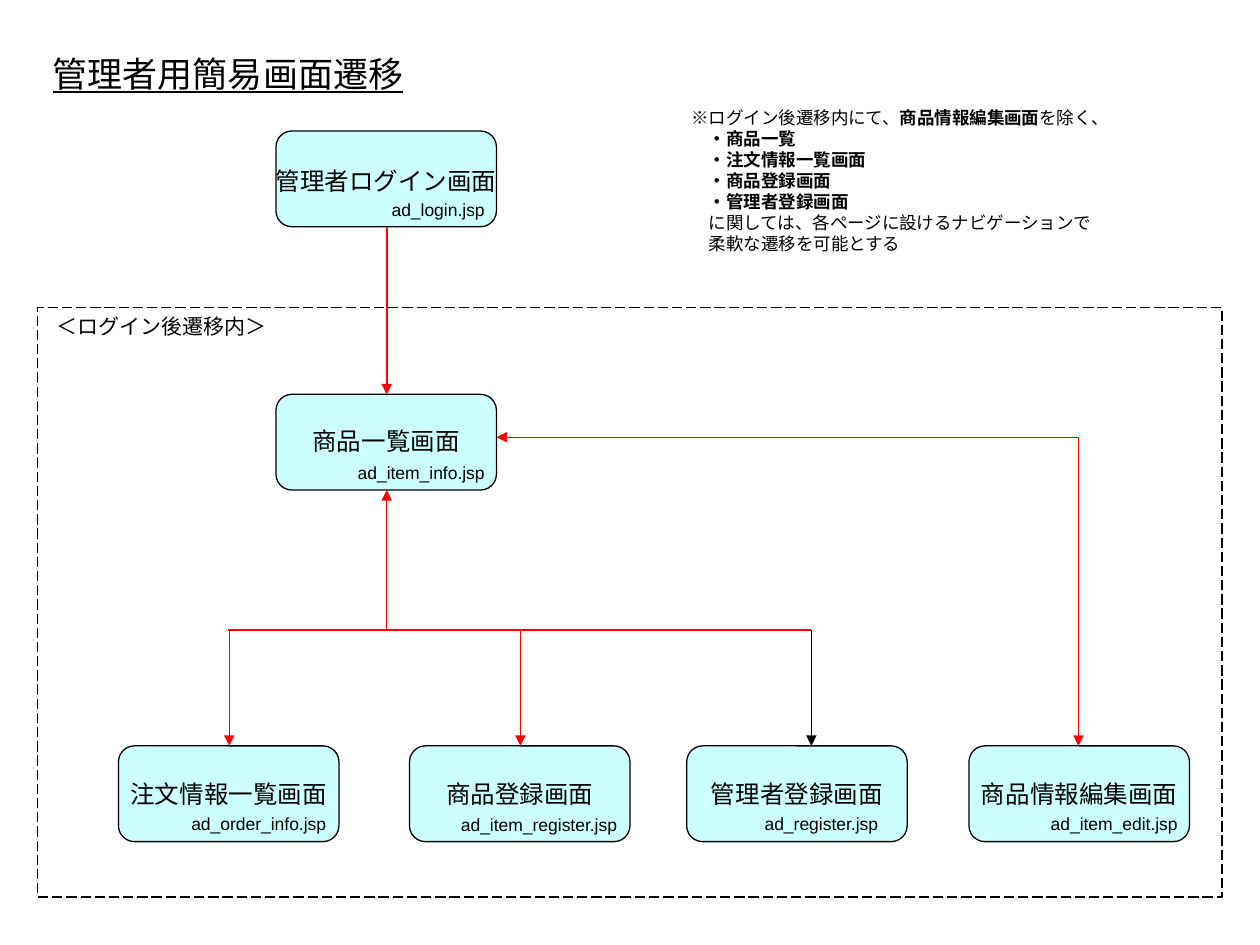
from typing import NamedTuple

from lxml import etree
from pptx import Presentation
from pptx import util as u
from pptx.dml.color import RGBColor
from pptx.enum import dml, shapes, text
from pptx.oxml import ns

BLACK, RED, CYAN, WHITE = "000000", "FF0000", "CCFFFF", "FFFFFF"
FONT = "Arial"
SCREEN_W, SCREEN_H = 1.75, 0.76
LIST_Y, BRANCH_Y, LOWER_Y, EDIT_Y = 3.13, 5.0, 5.92, 3.47
MAIN_X, EDIT_X = 3.07, 8.56
LEFT, CENTER = text.PP_ALIGN.LEFT, text.PP_ALIGN.CENTER


class Screen(NamedTuple):
    title: str
    file: str
    left: float
    top: float
    file_width: float
    title_drop: float = 0.21
    file_drop: float = 0.48
    file_inset: float = 0.0


class Link(NamedTuple):
    x1: float
    y1: float
    x2: float
    y2: float
    color: str = RED
    width: float = 0.74
    arrow: bool = True


SCREENS = [
    Screen("管理者ログイン画面", "ad_login.jsp", 2.19, 1.04, 0.94, 0.23, 0.49, -0.01),
    Screen("商品一覧画面", "ad_item_info.jsp", 2.19, LIST_Y, 1.21, 0.2, 0.49, -0.01),
    Screen("注文情報一覧画面", "ad_order_info.jsp", 0.94, LOWER_Y, 1.27),
    Screen("商品登録画面", "ad_item_register.jsp", 3.25, LOWER_Y, 1.44, file_drop=0.49),
    Screen("管理者登録画面", "ad_register.jsp", 5.45, LOWER_Y, 1.11, file_inset=0.12),
    Screen("商品情報編集画面", "ad_item_edit.jsp", 7.69, LOWER_Y, 1.21, file_inset=-0.01),
]

LINKS = [
    Link(MAIN_X, 1.8, MAIN_X, LIST_Y, width=0.99),
    Link(1.81, BRANCH_Y, 6.44, BRANCH_Y, arrow=False),
    Link(1.82, BRANCH_Y, 1.82, LOWER_Y),
    Link(4.13, BRANCH_Y, 4.13, LOWER_Y),
    Link(6.44, BRANCH_Y, 6.44, LOWER_Y, BLACK),
    Link(EDIT_X, EDIT_Y, EDIT_X, LOWER_Y),
    Link(EDIT_X, EDIT_Y, 3.94, EDIT_Y),
    Link(MAIN_X, BRANCH_Y, MAIN_X, LIST_Y + SCREEN_H),
]

NOTE = [
    [("※ログイン後遷移内にて、", False), ("商品情報編集画面", True), ("を除く、", False)],
    [("　・商品一覧", True)],
    [("　・注文情報一覧画面", True)],
    [("　・商品登録画面", True)],
    [("　・管理者登録画面", True)],
    [("　に関しては、各ページに設けるナビゲーションで", False)],
    [("　柔軟な遷移を可能とする", False)],
]


def rgb(color: str) -> RGBColor:
    return RGBColor.from_string(color)


def add_box(slide, kind, left: float, top: float, width: float, height: float, fill: str):
    box = slide.shapes.add_shape(kind, *map(u.Inches, (left, top, width, height)))
    box.shadow.inherit = False
    box.fill.solid()
    box.fill.fore_color.rgb = rgb(fill)
    box.line.color.rgb = rgb(BLACK)
    box.line.width = u.Pt(0.74)
    return box


def add_text(slide, left: float, top: float, width: float, height: float, lines: list,
             size: float, underline: bool = False, wrap: bool = False, align=LEFT) -> None:
    frame = slide.shapes.add_textbox(*map(u.Inches, (left, top, width, height))).text_frame
    frame.word_wrap = wrap
    frame.auto_size = text.MSO_AUTO_SIZE.SHAPE_TO_FIT_TEXT
    for number, line in enumerate(lines):
        paragraph = frame.add_paragraph() if number else frame.paragraphs[0]
        paragraph.alignment = align
        for words, bold in line:
            run = paragraph.add_run()
            run.text = words
            font = run.font
            font.name, font.size, font.bold = FONT, u.Pt(size), bold
            font.underline = underline
            font.color.rgb = rgb(BLACK)
            etree.SubElement(run._r.get_or_add_rPr(), ns.qn("a:ea"), typeface=FONT)


def add_screen(slide, screen: Screen) -> None:
    add_box(slide, shapes.MSO_SHAPE.FLOWCHART_ALTERNATE_PROCESS,
            screen.left, screen.top, SCREEN_W, SCREEN_H, CYAN)
    title_width = 0.3 + len(screen.title) * 14 / 72
    add_text(slide, screen.left + (SCREEN_W - title_width) / 2, screen.top + screen.title_drop,
             title_width, 0.34, [[(screen.title, False)]], 14, align=CENTER)
    file_left = screen.left + SCREEN_W - screen.file_inset - screen.file_width
    add_text(slide, file_left, screen.top + screen.file_drop,
             screen.file_width, 0.27, [[(screen.file, False)]], 10)


def add_link(slide, link: Link) -> None:
    connector = slide.shapes.add_connector(
        shapes.MSO_CONNECTOR.STRAIGHT, *map(u.Inches, (link.x1, link.y1, link.x2, link.y2)))
    connector.line.color.rgb = rgb(link.color)
    connector.line.width = u.Pt(link.width)
    properties = connector._element.spPr
    if link.arrow:
        etree.SubElement(properties.find(ns.qn("a:ln")), ns.qn("a:tailEnd"), type="triangle")
    etree.SubElement(properties, ns.qn("a:effectLst"))


def main() -> None:
    deck = Presentation()
    deck.slide_width, deck.slide_height = u.Inches(10), u.Inches(7.5)
    slide = deck.slides.add_slide(deck.slide_layouts[6])
    area = add_box(slide, shapes.MSO_SHAPE.RECTANGLE, 0.3, 2.44, 9.4, 4.68, WHITE)
    area.line.dash_style = dml.MSO_LINE.LONG_DASH
    add_text(slide, 0.32, 0.37, 3.02, 0.44, [[("管理者用簡易画面遷移", False)]], 20,
             underline=True, wrap=True)
    add_text(slide, 0.35, 2.44, 1.95, 0.3, [[("＜ログイン後遷移内＞", False)]], 12)
    add_text(slide, 5.39, 0.8, 3.52, 1.27, NOTE, 10)
    for screen in SCREENS:
        add_screen(slide, screen)
    for link in LINKS:
        add_link(slide, link)
    deck.save("out.pptx")


main()
